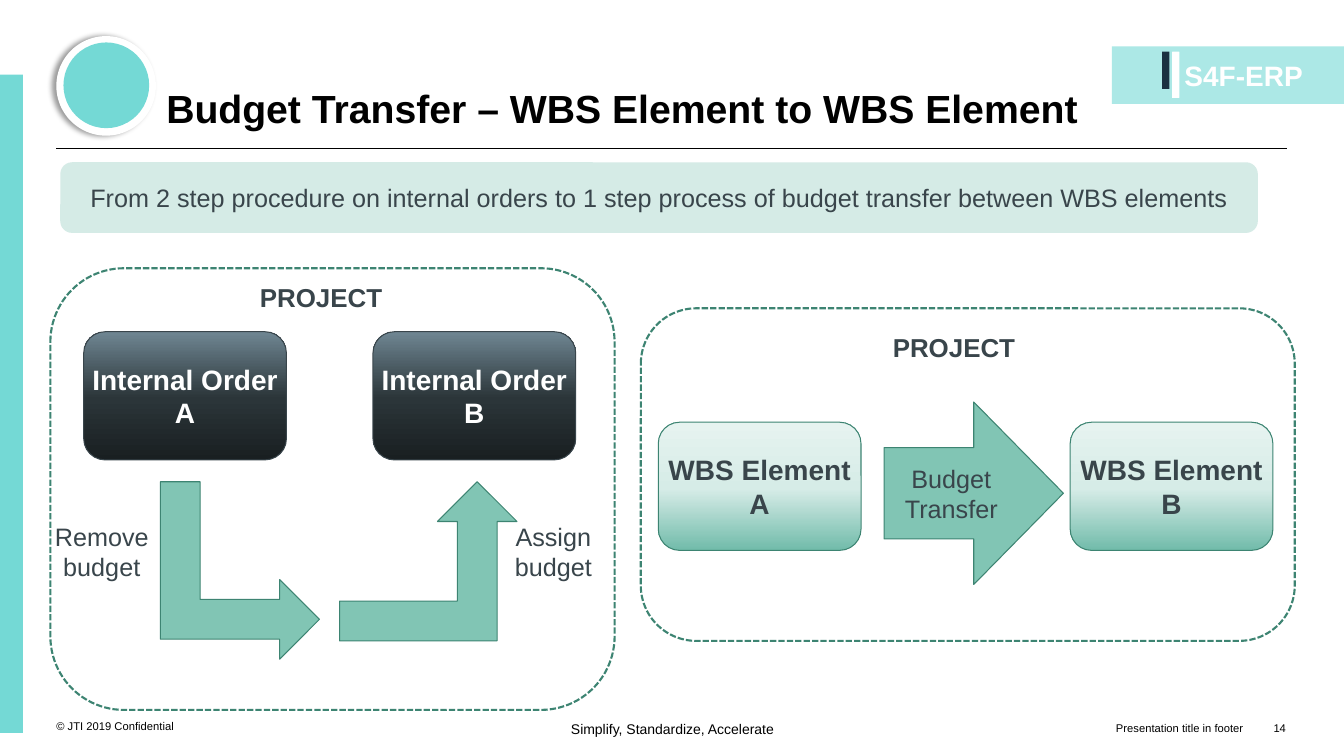
from dataclasses import dataclass

from lxml import etree
from pptx import Presentation, util as u
from pptx.dml.color import RGBColor
from pptx.enum import dml, shapes, text
from pptx.oxml.ns import qn

COLORS = {
    "black": "000000", "white": "FFFFFF", "slate": "39454B",
    "teal": "74D9D5", "pale_teal": "ACE8E6", "navy": "1A3040",
    "green": "81C5B4", "dark_green": "3D8472", "mint": "D5EBE6",
}
# Gradient stops run from the bottom of a shape to its top.
ORDER_STOPS = {0: "191F21", 48: "2B3539", 100: "6F8692"}
WBS_STOPS = {0: "71BBAA", 48: "D6ECE7", 100: "E6F3F0"}
NODE_W, NODE_H = 5.11, 3.23
ALIGN, ANCHOR, SHAPE = text.PP_ALIGN, text.MSO_ANCHOR, shapes.MSO_SHAPE


@dataclass
class Box:
    x: float
    y: float
    w: float
    h: float

    def lengths(self) -> tuple:
        return tuple(u.Cm(v) for v in (self.x, self.y, self.w, self.h))


@dataclass
class Node:
    label: str
    x: float
    y: float
    stops: dict
    line: str
    color: str


@dataclass
class Label:
    text: str
    box: Box
    size: float
    color: str = "black"
    bold: bool = False
    align: ALIGN = ALIGN.LEFT
    anchor: ANCHOR = ANCHOR.TOP


MASTER_LABELS = [
    Label("© JTI 2019 Confidential", Box(1.42, 17.45, 5, 1.02), 8,
          anchor=ANCHOR.BOTTOM),
    Label("Simplify, Standardize, Accelerate", Box(13.06, 18.16, 7.77, 0.76), 10,
          align=ALIGN.CENTER),
    Label("S4F-ERP", Box(29.85, 1.47, 3.18, 1.27), 20, "white", True),
    Label("Presentation title in footer", Box(19.66, 17.5, 11.68, 1.02), 8,
          align=ALIGN.RIGHT, anchor=ANCHOR.BOTTOM),
    Label("14", Box(31.32, 17.5, 1.09, 1.02), 8,
          align=ALIGN.RIGHT, anchor=ANCHOR.BOTTOM),
]
DIAGRAM_LABELS = [
    Label("Remove budget", Box(1.27, 13.13, 2.59, 1.85), 18, "slate",
          align=ALIGN.CENTER),
    Label("Assign budget", Box(12.65, 13.13, 2.59, 1.85), 18, "slate",
          align=ALIGN.CENTER),
    Label("PROJECT", Box(6.55, 7.09, 3.25, 1.32), 18.5, "slate", True),
    Label("PROJECT", Box(22.5, 8.36, 3.25, 1.32), 18.5, "slate", True),
]
NODES = [
    Node("Internal Order A", 2.11, 8.36, ORDER_STOPS, "slate", "white"),
    Node("Internal Order B", 9.4, 8.36, ORDER_STOPS, "slate", "white"),
    Node("WBS Element A", 16.59, 10.64, WBS_STOPS, "dark_green", "slate"),
    Node("WBS Element B", 26.97, 10.64, WBS_STOPS, "dark_green", "slate"),
]
PANELS = [Box(1.27, 6.76, 14.22, 11.13), Box(16.15, 7.77, 16.48, 8.38)]


def rgb(name: str) -> RGBColor:
    return RGBColor.from_string(COLORS[name])


def write(sp, content: str, *, size: float, color: str = "black",
          bold: bool = False, align: ALIGN = ALIGN.CENTER,
          anchor: ANCHOR = ANCHOR.MIDDLE, spacing: float = 1.0) -> None:
    tf = sp.text_frame
    tf.word_wrap = True
    tf.auto_size = text.MSO_AUTO_SIZE.NONE
    tf.vertical_anchor = anchor
    tf.margin_left = tf.margin_top = tf.margin_right = tf.margin_bottom = 0
    p = tf.paragraphs[0]
    p.alignment, p.line_spacing, p.space_before = align, spacing, u.Pt(0)
    r = p.add_run()
    r.text = content
    r.font.name, r.font.size, r.font.bold = "Arial", u.Pt(size), bold
    r.font.color.rgb = rgb(color)


def add_label(s, label: Label) -> None:
    write(s.shapes.add_textbox(*label.box.lengths()), label.text, size=label.size,
          color=label.color, bold=label.bold, align=label.align, anchor=label.anchor)


def add_shape(s, kind: SHAPE, box: Box, fill: str = "", line: str = "",
              width: float = 0.75):
    sp = s.shapes.add_shape(kind, *box.lengths())
    sp.shadow.inherit = False
    if fill:
        sp.fill.solid()
        sp.fill.fore_color.rgb = rgb(fill)
    else:
        sp.fill.background()
    if line:
        sp.line.color.rgb = rgb(line)
        sp.line.width = u.Pt(width)
    else:
        sp.line.fill.background()
    return sp


def set_gradient(sp, stops: dict) -> None:
    sp.fill.gradient()
    sp.fill.gradient_angle = 90
    gs_list = sp.element.spPr.find(".//" + qn("a:gsLst"))
    for gs in list(gs_list):
        gs_list.remove(gs)
    for pos, value in stops.items():
        gs = etree.SubElement(gs_list, qn("a:gs"), pos=str(pos * 1000))
        etree.SubElement(gs, qn("a:srgbClr"), val=value)


def add_left_shadow(sp) -> None:
    effects = sp.element.spPr.find(qn("a:effectLst"))
    shadow = etree.SubElement(effects, qn("a:outerShdw"), blurRad=str(u.Pt(4)),
                              dist=str(u.Pt(3)), dir="10800000", rotWithShape="0")
    color = etree.SubElement(shadow, qn("a:srgbClr"), val=COLORS["black"])
    etree.SubElement(color, qn("a:alpha"), val="40000")


def add_node(s, node: Node) -> None:
    sp = add_shape(s, SHAPE.ROUNDED_RECTANGLE, Box(node.x, node.y, NODE_W, NODE_H),
                   line=node.line)
    set_gradient(sp, node.stops)
    write(sp, node.label, size=20, color=node.color, bold=True)


def add_frame(s) -> None:
    """Draw the header, side band and footer around the diagram."""
    rule = s.shapes.add_connector(shapes.MSO_CONNECTOR.STRAIGHT, u.Cm(1.42),
                                  u.Cm(3.73), u.Cm(32.44), u.Cm(3.73))
    rule.line.color.rgb = rgb("black")
    rule.line.width = u.Pt(0.75)
    etree.SubElement(rule.element.spPr, qn("a:effectLst"))
    add_shape(s, SHAPE.RECTANGLE, Box(28.02, 1.17, 5.85, 1.45), "pale_teal")
    add_shape(s, SHAPE.RECTANGLE, Box(29.29, 1.3, 0.18, 0.94), "navy")
    bar = add_shape(s, SHAPE.ROUNDED_RECTANGLE, Box(29.54, 1.3, 0.18, 1.17), "white")
    bar.adjustments[0] = 0.07
    add_shape(s, SHAPE.RECTANGLE, Box(0, 1.88, 0.58, 16.59), "teal")
    add_left_shadow(add_shape(s, SHAPE.OVAL, Box(1.42, 0.91, 2.51, 2.51), "white"))
    add_shape(s, SHAPE.OVAL, Box(1.6, 1.07, 2.16, 2.16), "teal")
    for label in MASTER_LABELS:
        add_label(s, label)


def add_diagram(s) -> None:
    for panel in PANELS:
        sp = add_shape(s, SHAPE.ROUNDED_RECTANGLE, panel, line="dark_green", width=1.5)
        sp.line.dash_style = dml.MSO_LINE.SQUARE_DOT
    for node in NODES:
        add_node(s, node)
    for x, y, rotation in ((8.56, 12.14, 0), (3.81, 12.37, 90)):
        sp = add_shape(s, SHAPE.BENT_UP_ARROW, Box(x, y, 4.47, 4.01),
                       "green", "dark_green")
        sp.rotation = rotation
    sp = add_shape(s, SHAPE.RIGHT_ARROW, Box(22.28, 10.13, 4.52, 4.6),
                   "green", "dark_green")
    write(sp, "Budget Transfer", size=18, color="slate")
    for label in DIAGRAM_LABELS:
        add_label(s, label)
    banner = add_shape(s, SHAPE.ROUNDED_RECTANGLE, Box(1.52, 4.09, 30.18, 1.78), "mint")
    write(banner, "From 2 step procedure on internal orders to 1 step process of "
          "budget transfer between WBS elements", size=18, color="slate")


def main() -> None:
    prs = Presentation()
    prs.slide_width, prs.slide_height = u.Cm(33.87), u.Cm(19.05)
    s = prs.slides.add_slide(prs.slide_layouts[5])
    add_frame(s)
    title = s.shapes.title
    title.left, title.top, title.width, title.height = Box(
        4.19, 0.58, 24.74, 2.74).lengths()
    write(title, "Budget Transfer – WBS Element to WBS Element", size=28, bold=True,
          align=ALIGN.LEFT, anchor=ANCHOR.BOTTOM, spacing=0.9)
    add_diagram(s)
    prs.save("out.pptx")


if __name__ == "__main__":
    main()
